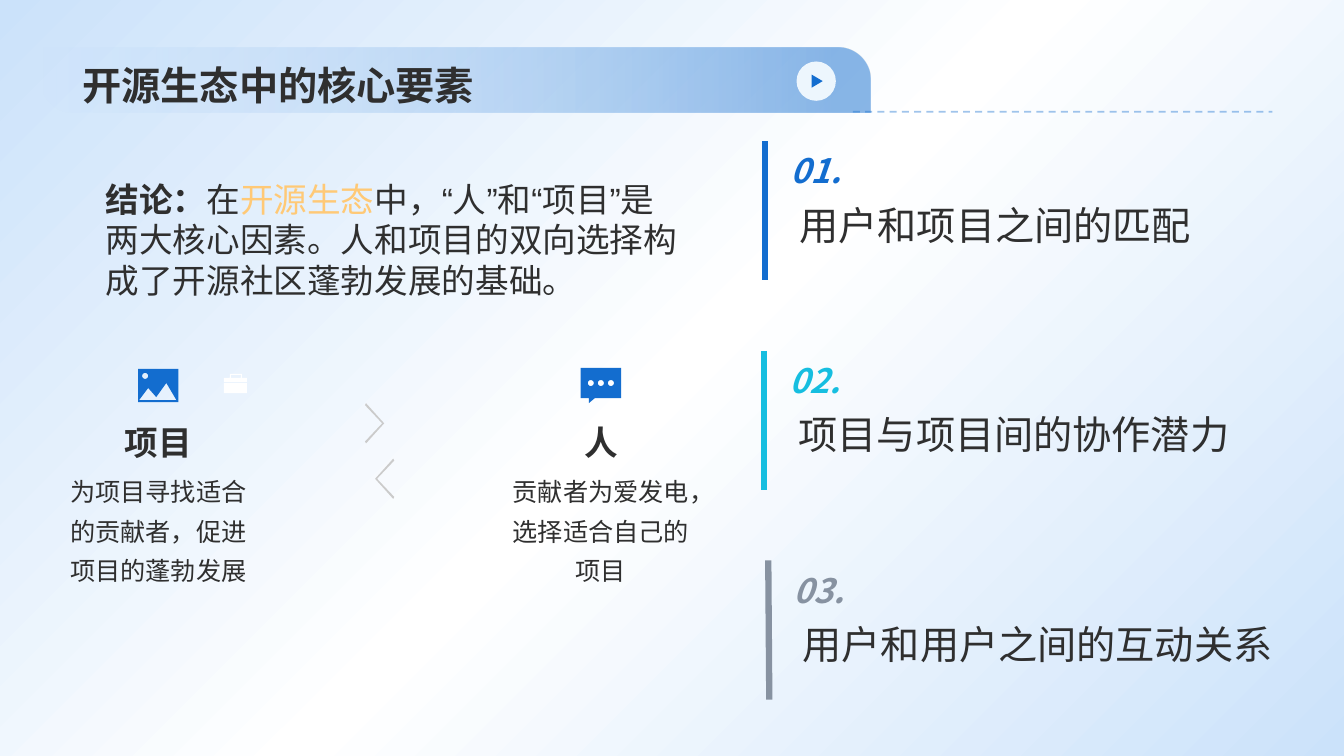
from dataclasses import dataclass
from math import cos, pi, sin

from lxml import etree
from pptx import Presentation
from pptx.dml.color import RGBColor
from pptx.enum.dml import MSO_LINE
from pptx.enum.shapes import MSO_CONNECTOR, MSO_SHAPE
from pptx.enum.text import MSO_ANCHOR, MSO_AUTO_SIZE, PP_ALIGN
from pptx.oxml.ns import qn
from pptx.util import Inches, Pt

DIAG, OVAL, TRI = MSO_SHAPE.ROUND_2_DIAG_RECTANGLE, MSO_SHAPE.OVAL, MSO_SHAPE.ISOSCELES_TRIANGLE
STRAIGHT, DASH = MSO_CONNECTOR.STRAIGHT, MSO_LINE.DASH
TOP, MIDDLE, BOTTOM = MSO_ANCHOR.TOP, MSO_ANCHOR.MIDDLE, MSO_ANCHOR.BOTTOM
LEFT, CENTER = PP_ALIGN.LEFT, PP_ALIGN.CENTER
GROW, FIXED = MSO_AUTO_SIZE.SHAPE_TO_FIT_TEXT, MSO_AUTO_SIZE.NONE


@dataclass(frozen=True)
class Theme:
    """Colours, fonts and type sizes of the slide."""
    ink: str = "2F2F2F"
    blue: str = "136DCF"
    cyan: str = "16BEE0"
    slate: str = "8792A1"
    gray: str = "CBCBCB"
    white: str = "FFFFFF"
    disc: str = "EDF6FD"
    pale: str = "CBE2FA"
    sky: str = "97C4F5"
    gold: tuple = ((0, "FFC976", 100), (100, "FF922B", 100))
    main: str = "Arial"
    side: str = "Noto Sans CJK SC"
    big: int = 28
    mid: int = 24
    small: int = 18


T = Theme()


def shade(fill, node, stops, angle):
    """Give a fill a linear gradient of (position, colour, opacity) stops."""
    fill.gradient()
    fill.gradient_angle = -angle % 360
    gs_list = node.find(".//" + qn("a:gsLst"))
    for old in list(gs_list):
        gs_list.remove(old)
    for pos, color, alpha in stops:
        stop = etree.SubElement(gs_list, qn("a:gs"), pos=str(pos * 1000))
        tint = etree.SubElement(stop, qn("a:srgbClr"), val=color)
        if alpha < 100:
            etree.SubElement(tint, qn("a:alpha"), val=str(alpha * 1000))


def clean(shape, color=None):
    """Remove shadow and outline, and set a plain fill."""
    shape.shadow.inherit = False
    shape.line.fill.background()
    if color:
        shape.fill.solid()
        shape.fill.fore_color.rgb = RGBColor.from_string(color)
    return shape


def preset(slide, kind, box, color=None):
    """Add a preset shape in the box."""
    return clean(slide.shapes.add_shape(kind, *map(Inches, box)), color)


def write(slide, text, box, size=T.mid, font=T.main, color=T.ink, bold=False, italic=False,
          align=LEFT, anchor=TOP, space=None, inset=None, fit=FIXED, wrap=True):
    """Add a text box; text is a string or a list of (string, changes)."""
    frame = slide.shapes.add_textbox(*map(Inches, box)).text_frame
    frame.word_wrap, frame.auto_size, frame.vertical_anchor = wrap, fit, anchor
    if inset:
        frame.margin_left = frame.margin_right = Inches(inset)
        frame.margin_top = frame.margin_bottom = Inches(inset)
    para = frame.paragraphs[0]
    para.alignment = align
    if space:
        para.line_spacing = space
    for part, change in [(text, {})] if isinstance(text, str) else text:
        look = dict(font=font, color=color, bold=bold) | change
        run = para.add_run()
        run.text = part
        face = run.font
        face.size, face.name = Pt(size), look["font"]
        face.bold, face.italic = look["bold"], italic
        if isinstance(look["color"], str):
            face.color.rgb = RGBColor.from_string(look["color"])
        else:
            shade(face.fill, run._r, look["color"], 90)
        etree.SubElement(run._r.rPr, qn("a:ea"), typeface=look["font"])


def rule(slide, ends, color, width, dash=None, alpha=None):
    """Add a straight line between two points."""
    wire = slide.shapes.add_connector(STRAIGHT, *map(Inches, ends))
    wire.line.color.rgb = RGBColor.from_string(color)
    wire.line.width = Pt(width)
    if dash:
        wire.line.dash_style = dash
    props = wire._element.spPr
    if alpha:
        tint = props.find(".//" + qn("a:srgbClr"))
        etree.SubElement(tint, qn("a:alpha"), val=str(alpha * 1000))
    etree.SubElement(props, qn("a:effectLst"))


def rect(x, y, w, h):
    """Return the corners of a rectangle."""
    return [(x, y), (x + w, y), (x + w, y + h), (x, y + h)]


def ring(x, y, r=0.03):
    """Return points around a circle."""
    return [(x + r * cos(i * pi / 12), y + r * sin(i * pi / 12)) for i in range(24)]


def outline(slide, x, y, color, *loops):
    """Draw closed loops, given relative to a corner, as one shape."""
    loops = [[((x + a) * 1000, (y + b) * 1000) for a, b in loop] for loop in loops]
    pen = slide.shapes.build_freeform(*loops[0][0], scale=Inches(1) / 1000)
    for i, loop in enumerate(loops):
        if i:
            pen.move_to(*loop[0])
        pen.add_line_segments(loop[1:], close=True)
    clean(pen.convert_to_shape(), color)


def header(slide, x, y, w, h):
    """Place the banner, play badge, dashed line and title."""
    band = preset(slide, DIAG, (x, y, w, h))
    band.adjustments[0], band.adjustments[1] = 0, 0.5
    shade(band.fill, band._element, [(0, T.sky, 0), (96, T.blue, 50)], 0)
    preset(slide, OVAL, (x + w - 0.73, y + 0.14, 0.39, 0.39), T.disc)
    preset(slide, TRI, (x + w - 0.59, y + 0.28, 0.13, 0.11), T.blue).rotation = 90
    rule(slide, (x + w - 0.17, y + 0.64, x + w + 3.99, y + 0.64), T.blue, 1.25, DASH, 40)
    write(slide, "开源生态中的核心要素", (x + 0.32, y - 0.33, 11.88, 0.98),
          size=T.big, bold=True, anchor=BOTTOM)


def claim(slide, *box):
    """Place the conclusion."""
    write(slide, [("结论：", {"bold": True}), ("在", {}),
                  ("开源生态", {"font": T.side, "color": T.gold}),
                  ("中，“人”和“项目”是两大核心因素。人和项目的双向选择构成了开源社区蓬勃发展的基础。", {})],
          box, anchor=MIDDLE)


def pillar(slide, x, y, w, name, note):
    """Place a centred name above its note."""
    write(slide, name, (x, y, w, 0.48), bold=True, align=CENTER, anchor=MIDDLE, fit=GROW)
    write(slide, note, (x, y + 0.44, w, 1.24), size=T.small, align=CENTER, space=1.3, fit=GROW)


def factors(slide, x, y):
    """Place both factors, their icons and the arrows between them."""
    pillar(slide, x, y + 0.5, 2.02, "项目", "为项目寻找适合的贡献者，促进项目的蓬勃发展")
    pillar(slide, x + 4.39, y + 0.5, 2.02, "人", "贡献者为爱发电，选择适合自己的项目")
    outline(slide, x + 0.81, y + 0.01, T.blue, rect(0, 0, 0.4, 0.33),
            [(0.01, 0.31), (0.1, 0.19), (0.18, 0.28), (0.28, 0.14), (0.38, 0.31)],
            ring(0.07, 0.07))
    outline(slide, x + 5.2, y, T.blue,
            [(0, 0), (0.4, 0), (0.4, 0.3), (0.14, 0.3), (0.08, 0.35), (0.08, 0.3), (0, 0.3)],
            *[ring(0.1 + 0.1 * i, 0.15) for i in range(3)])
    outline(slide, x + 1.66, y + 0.06, T.white, rect(0, 0.09, 0.23, 0.1),
            [(0, 0.08), (0, 0.04), (0.06, 0.04), (0.06, 0), (0.18, 0), (0.18, 0.04),
             (0.23, 0.04), (0.23, 0.08)], rect(0.07, 0.01, 0.1, 0.03))
    hook = [(0.01, 0.4), (0, 0.38), (0.17, 0.2), (0, 0.02), (0.01, 0), (0.19, 0.2)]
    outline(slide, x + 3.06, y + 0.35, T.gray, hook)
    outline(slide, x + 3.16, y + 0.9, T.gray, [(0.19 - a, b) for a, b in hook])


def item(slide, x, y, w, tag, text, color, lean=0):
    """Place a numbered point beside its bar."""
    write(slide, tag, (x + 0.15, y, 0.71, 0.54), font=T.side, color=color, bold=True,
          italic=True, align=CENTER, space=1.2, fit=GROW, wrap=False)
    write(slide, text, (x + 0.22, y + 0.42, w, 0.94), size=T.big, font=T.side,
          space=1.2, inset=0.12)
    rule(slide, (x, y + 0.04, x + lean, y + 1.42), color, 4.5)


def main():
    """Build and save the slide."""
    deck = Presentation()
    deck.slide_width, deck.slide_height = Inches(13.33), Inches(7.5)
    slide = deck.slides.add_slide(deck.slide_layouts[6])
    shade(slide.background.fill, slide._element,
          [(0, T.pale, 100), (50, T.white, 100), (100, T.pale, 100)], 45)
    header(slide, 0.4, 0.47, 8.23, 0.65)
    claim(slide, 0.95, 1.38, 5.89, 1.99)
    factors(slide, 0.56, 3.65)
    points = [(7.59, 4.2, "用户和项目之间的匹配", T.blue, 0),
              (7.58, 4.58, "项目与项目间的协作潜力", T.cyan, 0),
              (7.62, 5, "用户和用户之间的互动关系", T.slate, 0.01)]
    for i, (x, w, text, color, lean) in enumerate(points):
        item(slide, x, 1.36 + 2.08 * i, w, f"0{i + 1}.", text, color, lean)
    deck.save("out.pptx")


if __name__ == "__main__":
    main()
